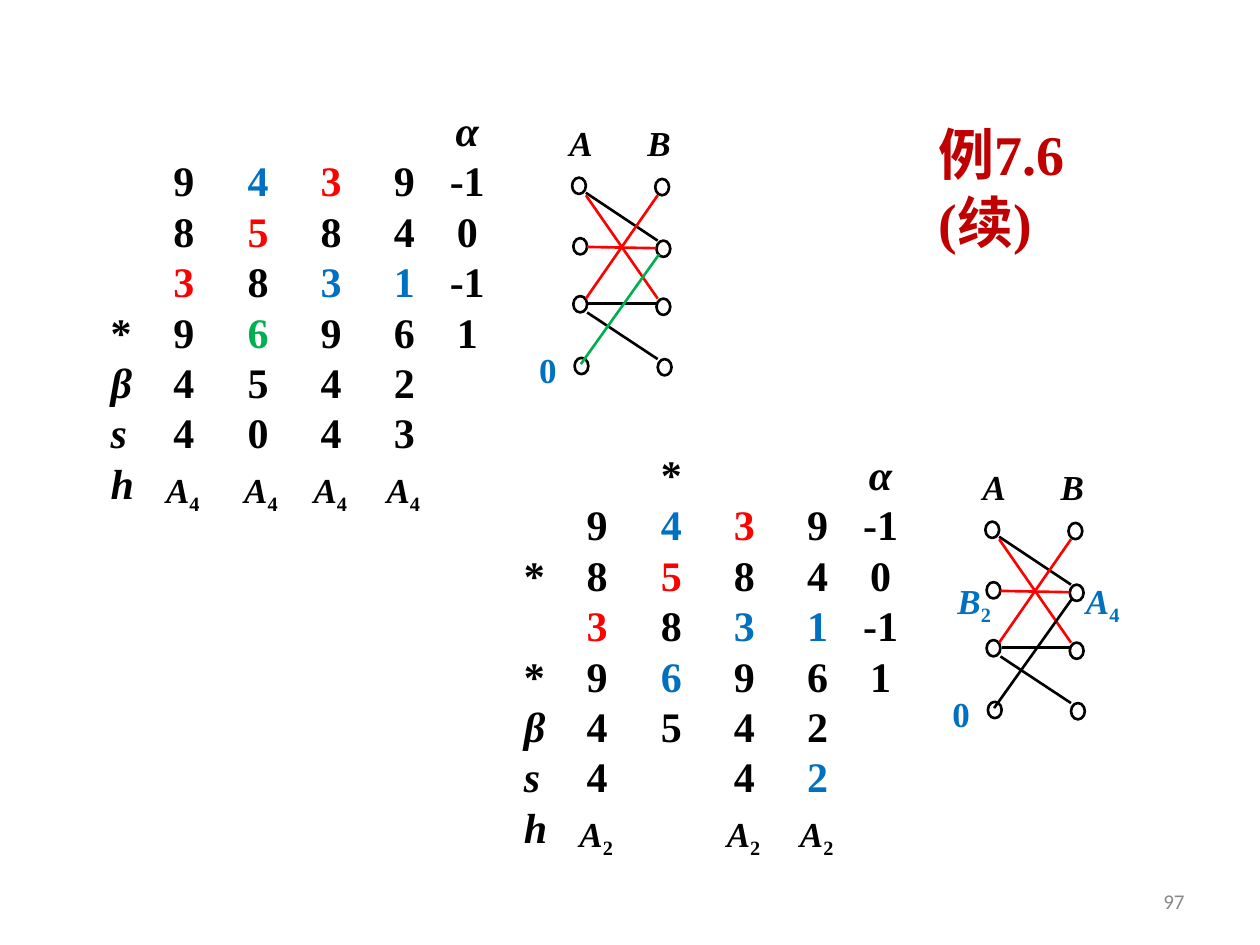
"""Build the slide with two assignment matrices and their bipartite graphs."""
from lxml.etree import SubElement
from pptx import Presentation
from pptx.dml.color import RGBColor
from pptx.enum.shapes import MSO_CONNECTOR as LINE, MSO_SHAPE as SHAPE
from pptx.enum.text import MSO_ANCHOR as ANCHOR, MSO_AUTO_SIZE as AUTO, PP_ALIGN as ALIGN
from pptx.oxml.ns import qn
from pptx.util import Inches, Pt

COLORS = {"black": "000000", "white": "FFFFFF", "red": "FF0000", "blue": "0070C0",
          "green": "00B050", "title": "C00000", "gray": "898989"}
SERIF = "Times New Roman"


def add_run(paragraph, text, size, color="black", italic=False, bold=True, font=SERIF):
    run = paragraph.add_run()
    run.text = text
    run.font.name, run.font.size = font, Pt(size)
    run.font.bold, run.font.italic = bold, italic
    run.font.color.rgb = RGBColor.from_string(COLORS[color])
    return run


def add_label(left, top, width, height, letter, index="", color="black"):
    label = slide.shapes.add_textbox(Inches(left), Inches(top), Inches(width), Inches(height))
    label.text_frame.word_wrap = True
    paragraph = label.text_frame.paragraphs[0]
    paragraph.alignment, paragraph.line_spacing = ALIGN.JUSTIFY, 0.64
    add_run(paragraph, letter, 20, color, italic=letter.isalpha())
    if index:
        subscript = add_run(paragraph, index, 20, color)
        subscript.font._element.set("baseline", "-25000")


prs = Presentation()
prs.slide_width, prs.slide_height = Inches(10), Inches(7.5)
slide = prs.slides.add_slide(prs.slide_layouts[5])

title = slide.shapes.title
title.left, title.top, title.width, title.height = map(Inches, (7.35, 0.97, 1.72, 1.03))
title.text_frame.word_wrap = True
title.text_frame.auto_size = AUTO.NONE
title.text_frame.vertical_anchor = ANCHOR.MIDDLE
heading = title.text_frame.paragraphs[0]
heading.alignment = ALIGN.LEFT
add_run(heading, "例7.6", 32, "title")
heading.add_line_break()
add_run(heading, "(续)", 32, "title")

weights = [["9", "4", "3", "9", "-1"], ["8", "5", "8", "4", "0"],
           ["3", "8", "3", "1", "-1"], ["9", "6", "9", "6", "1"]]
shared_colors = {(1, 2): "blue", (1, 3): "red", (2, 2): "red",
                 (3, 1): "red", (3, 3): "blue", (3, 4): "blue"}
column_stops = [0.58, 1.17, 1.75, 2.33, 2.83]
slack_lefts = [1.22, 1.84, 2.39, 2.97]

node_size = (0.11, 0.13)
nodes = [(4.54, 1.41), (4.55, 1.89), (4.55, 2.35), (4.56, 2.84),
         (5.2, 1.42), (5.21, 1.91), (5.21, 2.37), (5.22, 2.85)]
edges = [(4.65, 1.53, 5.22, 1.91, "black"), (4.65, 1.55, 5.22, 2.37, "red"),
         (4.65, 2.37, 5.22, 1.55, "red"), (4.67, 2.41, 5.21, 2.41, "black"),
         (4.66, 2.48, 5.22, 2.85, "black"), (4.66, 1.96, 5.21, 1.97, "red")]

steps = [
    {"offset": (0, 0), "header": ["", "", "", "", "", "α"], "marks": ["", "", "", "*"],
     "slack": ["4", "0", "4", "3"], "sources": ["4", "4", "4", "4"],
     "colors": {(4, 2): "green"}, "new_edge": "green", "tags": []},
    {"offset": (3.28, 2.73), "header": ["", "", "*", "", "", "α"], "marks": ["", "*", "", "*"],
     "slack": ["4", "", "4", "2"], "sources": ["2", "", "2", "2"],
     "colors": {(4, 2): "blue", (6, 4): "blue"}, "new_edge": "black",
     "tags": [(5.24, "A", "4"), (4.22, "B", "2")]},
]

for step in steps:
    dx, dy = step["offset"]
    rows = [step["header"]]
    rows += [[mark] + values for mark, values in zip(step["marks"], weights)]
    rows += [["β", "4", "5", "4", "2"], ["s"] + step["slack"], ["h"]]
    cell_colors = {**shared_colors, **step["colors"]}

    matrix = slide.shapes.add_textbox(Inches(0.78 + dx), Inches(0.78 + dy),
                                      Inches(3.32), Inches(3.28)).text_frame
    matrix.word_wrap = True
    for r, row in enumerate(rows):
        line = matrix.paragraphs[0] if r == 0 else matrix.add_paragraph()
        line.alignment = ALIGN.JUSTIFY
        tabs = SubElement(line._p.get_or_add_pPr(), qn("a:tabLst"))
        for stop in column_stops:
            SubElement(tabs, qn("a:tab"), pos=str(Inches(stop)), algn="ctr")
        for c, cell in enumerate(row):
            text = "\t" + cell if c else cell
            if text:
                add_run(line, text, 24, cell_colors.get((r, c), "black"), italic=cell.isalpha())

    for left, source in zip(slack_lefts, step["sources"]):
        if source:
            add_label(left + dx, 3.75 + dy, 0.5, 0.31, "A", source)

    for left, side in [(4.42, "A"), (5.04, "B")]:
        add_label(left + dx, 1.02 + dy, 0.29, 0.23, side)
    add_label(4.18 + dx, 2.82 + dy, 0.47, 0.38, "0", color="blue")

    for x, y in nodes:
        node = slide.shapes.add_shape(SHAPE.OVAL, Inches(x + dx), Inches(y + dy),
                                      *map(Inches, node_size))
        node.shadow.inherit = False
        node.fill.solid()
        node.fill.fore_color.rgb = RGBColor.from_string(COLORS["white"])
        node.line.color.rgb = RGBColor.from_string(COLORS["black"])
        node.line.width = Pt(1.5)

    for x1, y1, x2, y2, color in edges + [(4.61, 2.89, 5.23, 2.02, step["new_edge"])]:
        edge = slide.shapes.add_connector(LINE.STRAIGHT, Inches(x1 + dx), Inches(y1 + dy),
                                          Inches(x2 + dx), Inches(y2 + dy))
        edge.line.color.rgb = RGBColor.from_string(COLORS[color])
        edge.line.width = Pt(1.5)
        SubElement(edge._element.spPr, qn("a:effectLst"))

    for left, letter, index in step["tags"]:
        add_label(left + dx, 1.9 + dy, 0.63, 0.45, letter, index, "blue")

page_number = slide.shapes.add_textbox(Inches(7.17), Inches(6.95), Inches(2.33), Inches(0.4))
page_number.text_frame.word_wrap = True
page_number.text_frame.vertical_anchor = ANCHOR.MIDDLE
number_line = page_number.text_frame.paragraphs[0]
number_line.alignment = ALIGN.RIGHT
add_run(number_line, "97", 12, "gray", bold=False, font="Calibri")

prs.save("out.pptx")
